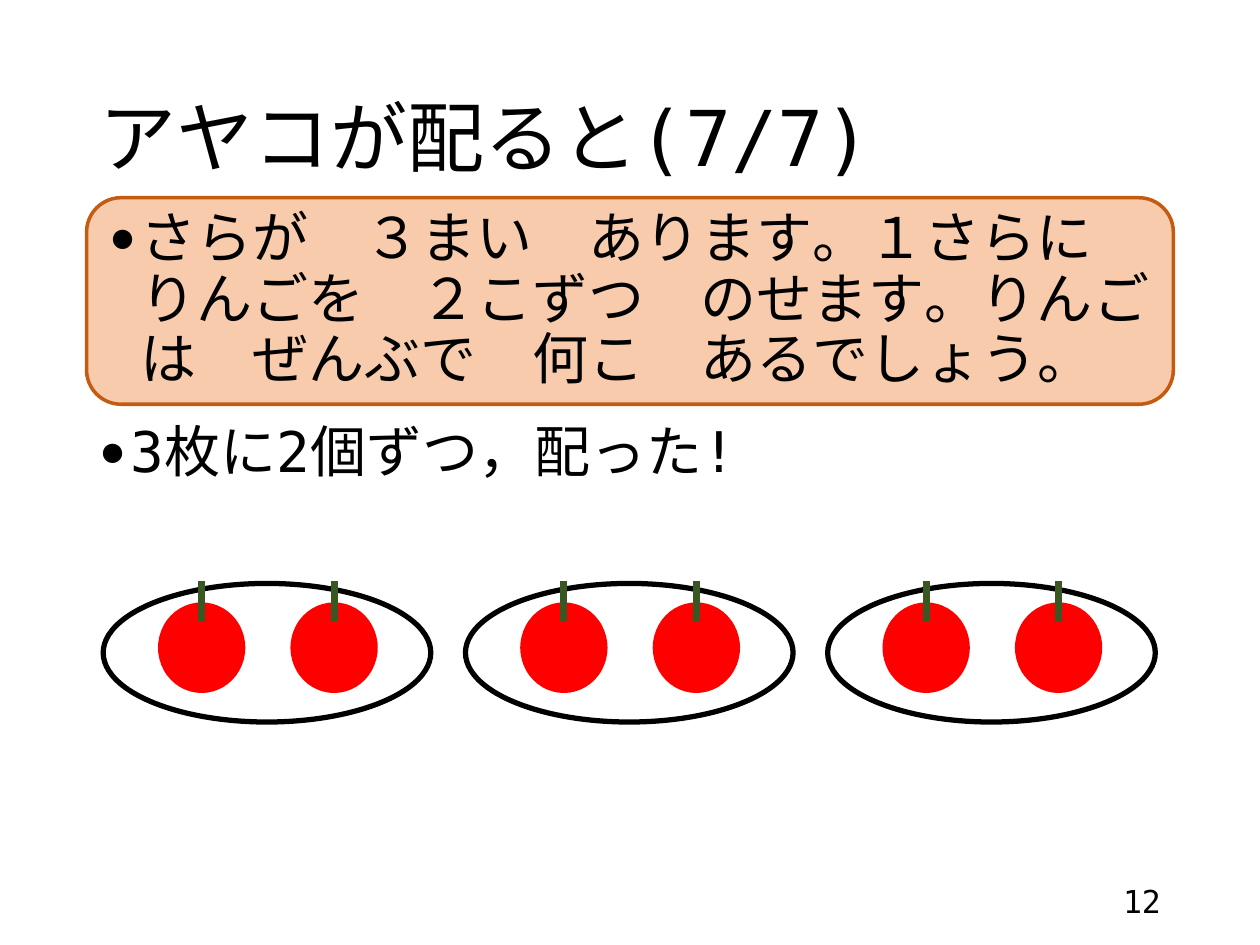
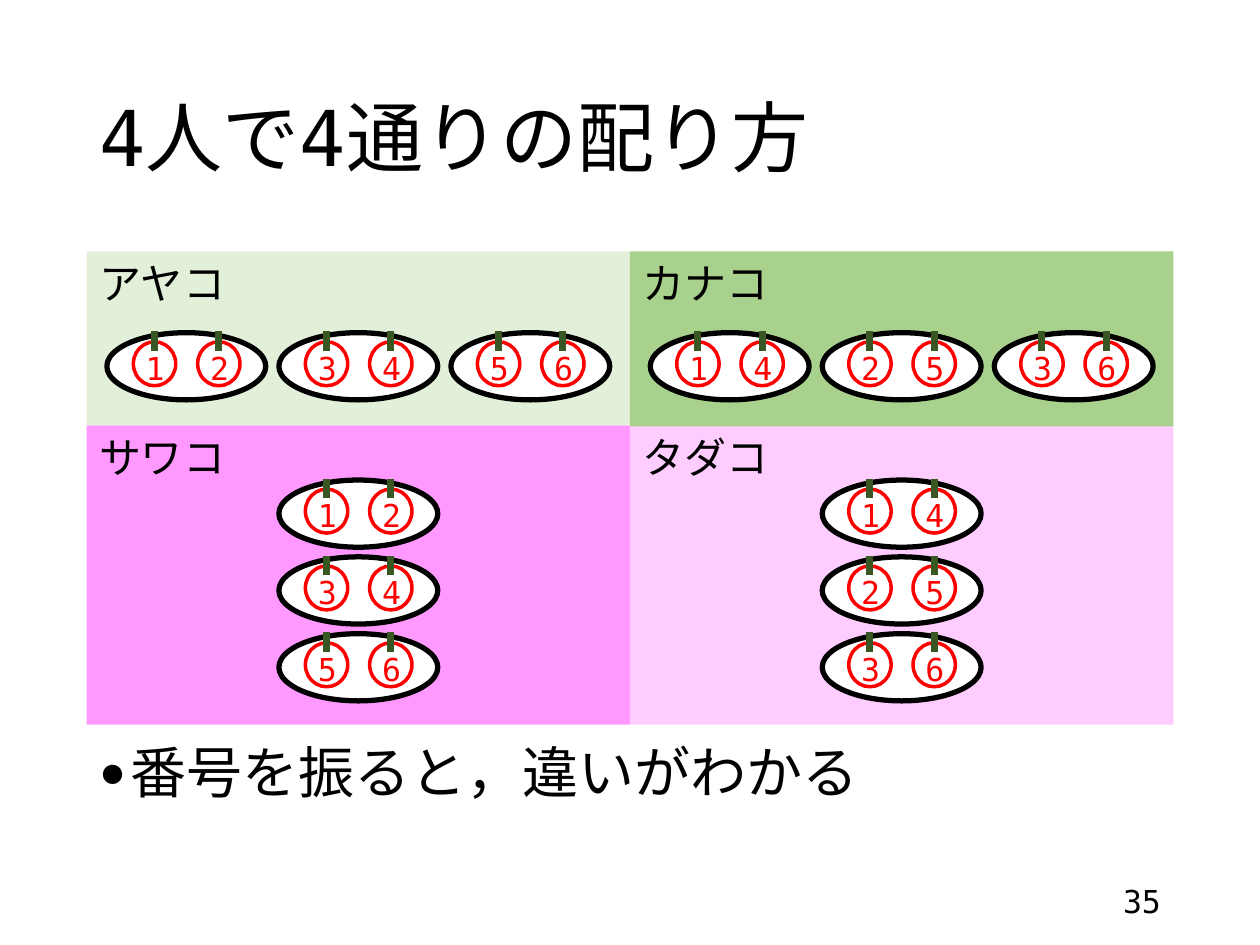
from lxml.etree import SubElement
from pptx import Presentation
from pptx.dml.color import RGBColor
from pptx.enum.lang import MSO_LANGUAGE_ID
from pptx.enum.shapes import MSO_CONNECTOR, MSO_SHAPE
from pptx.enum.text import MSO_ANCHOR, MSO_AUTO_SIZE, PP_ALIGN
from pptx.oxml.ns import qn
from pptx.util import Pt

FONT = "DejaVu Sans Mono"
BLACK = "000000"
WHITE = "FFFFFF"
RED = "FF0000"
STEM_GREEN = "385723"
LEFT = 49.5
WIDTH = 621
PANEL_WIDTH = WIDTH / 2
SMALL = 0.485
PLATE_WIDTH = 187.2
PLATE_HEIGHT = 79.2


def color(value):
    return RGBColor.from_string(value)


def points(*lengths):
    return [Pt(length) for length in lengths]


def add_bullet(para):
    properties = para._p.get_or_add_pPr()
    properties.set("marL", str(Pt(18)))
    properties.set("indent", str(Pt(-18)))
    SubElement(properties, qn("a:buSzPct")).set("val", "80000")
    SubElement(properties, qn("a:buFont")).set("typeface", "Arial")
    SubElement(properties, qn("a:buChar")).set("char", "●")


def write(box, text, size=18, fill=BLACK, align=PP_ALIGN.LEFT,
          anchor=MSO_ANCHOR.TOP, spacing=1.0, bullet=False, wrap=True):
    frame = box.text_frame
    frame.word_wrap = wrap
    frame.auto_size = MSO_AUTO_SIZE.NONE if wrap else MSO_AUTO_SIZE.SHAPE_TO_FIT_TEXT
    frame.vertical_anchor = anchor
    para = frame.paragraphs[0]
    para.alignment = align
    para.line_spacing = spacing
    para.space_before = Pt(0)
    if bullet:
        add_bullet(para)
    span = para.add_run()
    span.text = text
    span.font.size = Pt(size)
    span.font.name = FONT
    span.font.color.rgb = color(fill)
    span.font.language_id = MSO_LANGUAGE_ID.JAPANESE
    SubElement(span._r.get_or_add_rPr(), qn("a:ea")).set("typeface", FONT)


def place(box, left, top, width, height):
    box.left, box.top, box.width, box.height = points(left, top, width, height)


def add_shape(shapes, kind, left, top, width, height, fill=None, line=None, weight=2):
    shape = shapes.add_shape(kind, *points(left, top, width, height))
    shape.shadow.inherit = False
    if fill:
        shape.fill.solid()
        shape.fill.fore_color.rgb = color(fill)
    else:
        shape.fill.background()
    if line:
        shape.line.color.rgb = color(line)
        shape.line.width = Pt(weight)
    else:
        shape.line.fill.background()
    return shape


def add_label(shapes, text, left, top, width, height, **text_format):
    box = shapes.add_textbox(*points(left, top, width, height))
    write(box, text, **text_format)


def add_stem(shapes, x, top, bottom):
    stem = shapes.add_connector(MSO_CONNECTOR.STRAIGHT, *points(x, top, x, bottom))
    stem.line.color.rgb = color(STEM_GREEN)
    stem.line.width = Pt(4)
    SubElement(stem._element.spPr, qn("a:effectLst"))


def add_apple(page, left, plate_top, scale, number):
    shapes = page.shapes.add_group_shape().shapes
    top = plate_top + 10.8 * scale
    width, height = 49.9 * scale, 51.8 * scale
    look = {"line": RED} if number else {"fill": RED}
    add_shape(shapes, MSO_SHAPE.OVAL, left, top, width, height, **look)
    add_stem(shapes, left + width / 2, plate_top - 1.4 * scale, plate_top + 21.6 * scale)
    if number:
        add_label(shapes, number, left, top + 0.6, width, 29,
                  fill=RED, align=PP_ALIGN.CENTER, wrap=False)


def add_plate(page, left, top, scale=1, numbers=("", "")):
    add_shape(page.shapes, MSO_SHAPE.OVAL, left, top, PLATE_WIDTH * scale,
              PLATE_HEIGHT * scale, fill=WHITE, line=BLACK, weight=3)
    for index, number in enumerate(numbers):
        add_apple(page, left + (31.3 + 75.7 * index) * scale, top, scale, number)


def add_panel(page, name, left, top, height, fill, pairs, stacked):
    add_shape(page.shapes, MSO_SHAPE.RECTANGLE, left, top, PANEL_WIDTH, height, fill=fill)
    add_label(page.shapes, name, left, top, 87, 36, size=24, wrap=False)
    middle = left + (PANEL_WIDTH - PLATE_WIDTH * SMALL) / 2
    for index, pair in enumerate(pairs):
        if stacked:
            add_plate(page, middle, top + 31.3 + 43.9 * index, SMALL, pair)
        else:
            add_plate(page, middle + 98.3 * (index - 1), top + 46.4, SMALL, pair)


def add_page(deck, title, point, point_top, point_height, number):
    page = deck.slides.add_slide(deck.slide_layouts[1])
    heading, body = page.placeholders
    place(heading, LEFT, 28.75, WIDTH, 104.4)
    write(heading, title, size=44, anchor=MSO_ANCHOR.MIDDLE, spacing=0.9)
    place(body, LEFT, point_top, WIDTH, point_height)
    write(body, point, size=32, spacing=0.9, bullet=True)
    add_label(page.shapes, number, 508.5, 500.5, 162, 28.75,
              align=PP_ALIGN.RIGHT, anchor=MSO_ANCHOR.MIDDLE)
    return page


def build_ayako(deck):
    page = add_page(deck, "アヤコが配ると(7/7)", "3枚に2個ずつ，配った!", 239, 247, "12")
    question = add_shape(page.shapes, MSO_SHAPE.ROUNDED_RECTANGLE, LEFT, 113, WIDTH, 118,
                         fill="F8CBAD", line="C55A11")
    write(question, "さらが　３まい　あります。１さらに　りんごを　２こずつ　のせます。"
          "りんごは　ぜんぶで　何こ　あるでしょう。",
          size=32, anchor=MSO_ANCHOR.MIDDLE, spacing=0.9, bullet=True)
    for index in range(3):
        add_plate(page, 59 + 207 * index, 333.4)


def build_four_ways(deck):
    page = add_page(deck, "4人で4通りの配り方", "番号を振ると，違いがわかる", 422, 72, "35")
    in_order = ("12", "34", "56")
    in_turn = ("14", "25", "36")
    right = LEFT + PANEL_WIDTH
    add_panel(page, "サワコ", LEFT, 243, 171, "FF99FF", in_order, stacked=True)
    add_panel(page, "タダコ", right, 243, 171, "FFCCFF", in_turn, stacked=True)
    add_panel(page, "アヤコ", LEFT, 143.7, 99.3, "E2F0D9", in_order, stacked=False)
    add_panel(page, "カナコ", right, 143.7, 100, "A9D18E", in_turn, stacked=False)


def main():
    deck = Presentation()
    deck.slide_width, deck.slide_height = points(720, 540)
    build_ayako(deck)
    build_four_ways(deck)
    deck.save("out.pptx")


if __name__ == "__main__":
    main()
